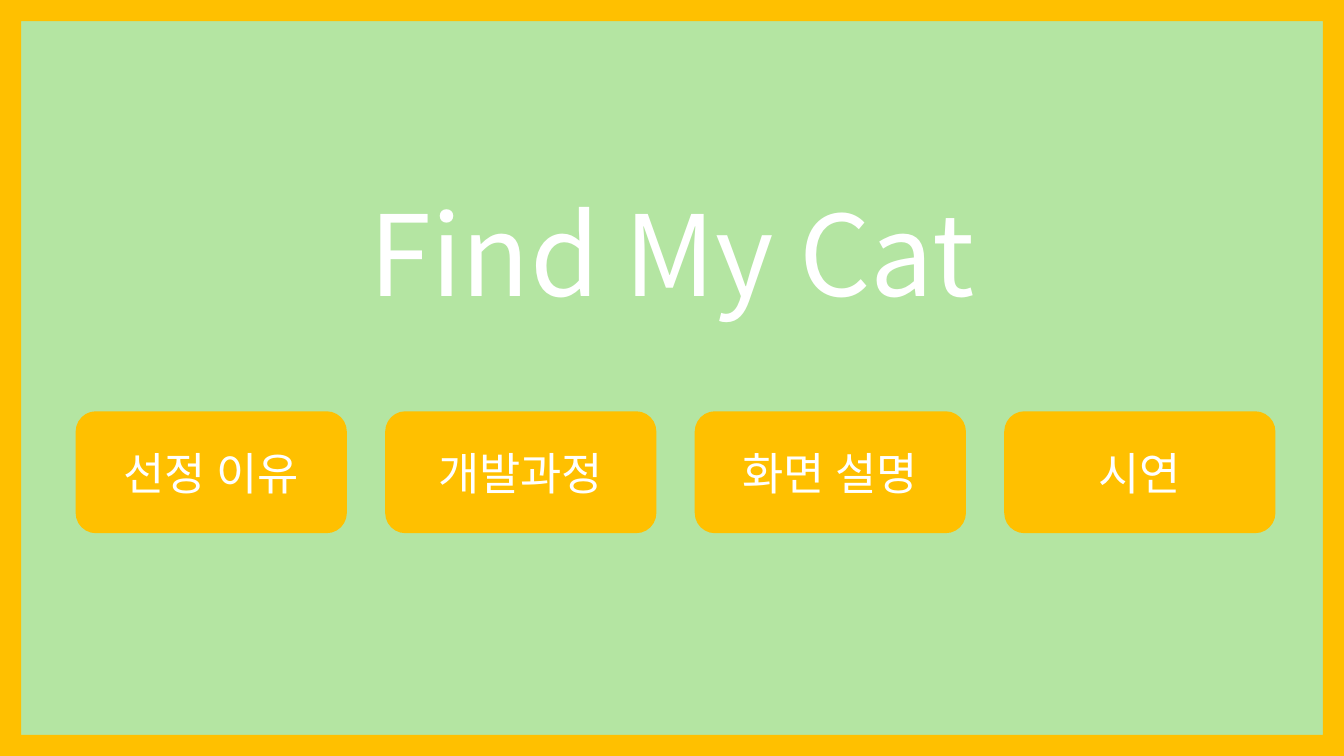
"""Build the Find My Cat title slide with its four section buttons."""
from dataclasses import dataclass

from lxml.etree import SubElement
from pptx import Presentation
from pptx.dml.color import RGBColor
from pptx.enum.shapes import MSO_SHAPE as Preset
from pptx.enum.text import MSO_ANCHOR as Anchor, MSO_AUTO_SIZE as AutoSize, PP_ALIGN as Align
from pptx.oxml.ns import qn
from pptx.shapes.autoshape import Shape
from pptx.slide import Slide
from pptx.text.text import TextFrame
from pptx.util import Inches, Pt

COLORS = {"background": "B4E5A2", "accent": "FFC000", "text": "FFFFFF"}
FONT = "Noto Sans CJK KR"
SLIDE_WIDTH, SLIDE_HEIGHT = 13.33, 7.5
BUTTON_LEFT, BUTTON_PITCH = 0.75, 3.07
SECTIONS = ["선정 이유", "개발과정", "화면 설명", "시연"]


@dataclass(frozen=True)
class Box:
    left: float
    top: float
    width: float
    height: float

    def lengths(self) -> list[int]:
        return [Inches(n) for n in (self.left, self.top, self.width, self.height)]


@dataclass(frozen=True)
class Button:
    label: str
    box: Box


def color(name: str) -> RGBColor:
    return RGBColor.from_string(COLORS[name])


def write_centered(frame: TextFrame, text: str, size: int) -> None:
    frame.word_wrap = True
    line = frame.paragraphs[0]
    line.alignment = Align.CENTER
    run = line.add_run()
    run.text = text
    run.font.size = Pt(size)
    run.font.color.rgb = color("text")
    run.font.name = FONT
    SubElement(run.font._element, qn("a:ea"), typeface=FONT)


def add_accent_shape(slide: Slide, preset: Preset, box: Box) -> Shape:
    accent = slide.shapes.add_shape(preset, *box.lengths())
    accent.shadow.inherit = False
    accent.fill.solid()
    accent.fill.fore_color.rgb = color("accent")
    accent.line.fill.background()
    return accent


def add_button(slide: Slide, button: Button) -> None:
    frame = add_accent_shape(slide, Preset.ROUNDED_RECTANGLE, button.box).text_frame
    frame.vertical_anchor = Anchor.MIDDLE
    write_centered(frame, button.label, 32)


def add_title(slide: Slide, text: str, box: Box) -> None:
    frame = slide.shapes.add_textbox(*box.lengths()).text_frame
    write_centered(frame, text, 80)
    frame.auto_size = AutoSize.SHAPE_TO_FIT_TEXT


def main() -> None:
    deck = Presentation()
    deck.slide_width, deck.slide_height = Inches(SLIDE_WIDTH), Inches(SLIDE_HEIGHT)
    slide = deck.slides.add_slide(deck.slide_layouts[6])
    slide.background.fill.solid()
    slide.background.fill.fore_color.rgb = color("background")

    border = add_accent_shape(slide, Preset.FRAME, Box(0, 0, SLIDE_WIDTH, SLIDE_HEIGHT))
    border.adjustments[0] = 0.028

    for index, label in enumerate(SECTIONS):
        left = BUTTON_LEFT + index * BUTTON_PITCH
        add_button(slide, Button(label, Box(left, 4.08, 2.69, 1.21)))
    add_title(slide, "Find My Cat", Box(2.58, 1.78, 8.17, 1.45))

    deck.save("out.pptx")


if __name__ == "__main__":
    main()
